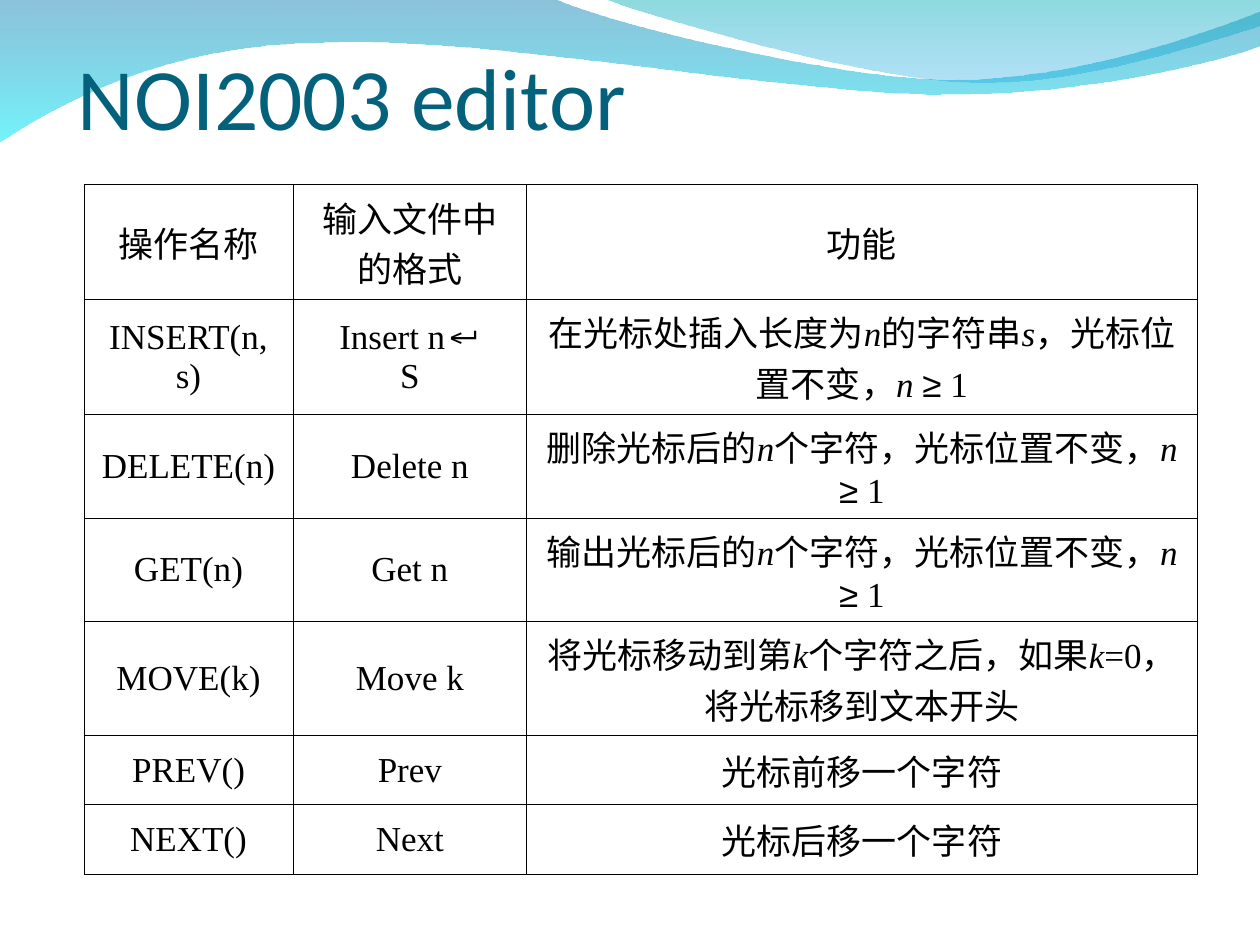
from itertools import groupby

from lxml.etree import SubElement
from pptx import Presentation
from pptx.dml.color import RGBColor
from pptx.enum.text import MSO_ANCHOR as Anchor, PP_ALIGN as Align
from pptx.oxml.ns import qn
from pptx.util import Pt

COLORS = {"title": "04617B", "text": "000000", "border": "000000"}
LATIN, SYMBOL, HEADING = "Times New Roman", "Arial", "Calibri"
SYMBOLS = "≥↵"

# Content: *...* is italic, a line break starts a new paragraph
TITLE = "NOI2003 editor"
ROWS = [
    ("操作名称", "输入文件中的格式", "功能"),
    ("INSERT(n, s)", "Insert n↵\nS",
     "在光标处插入长度为*n*的字符串*s*，光标位置不变，*n *≥ 1"),
    ("DELETE(n)", "Delete n", "删除光标后的*n*个字符，光标位置不变，*n *≥ 1"),
    ("GET(n)", "Get n", "输出光标后的*n*个字符，光标位置不变，*n *≥ 1"),
    ("MOVE(k)", "Move k", "将光标移动到第*k*个字符之后，如果*k*=0，将光标移到文本开头"),
    ("PREV()", "Prev", "光标前移一个字符"),
    ("NEXT()", "Next", "光标后移一个字符"),
]
COL_WIDTHS = [119.5, 133.5, 383.2]
ROW_HEIGHTS = [65.7, 65.7, 59.1, 59.1, 65.3, 39.6, 39.6]

# Waves: one-point items are line ends, three-point items are Bézier curves;
# gradient stops are (colour, opacity in percent)
WAVES = [
    {"path": [[(0, -0.7)], [(316.8, -0.7)],
              [(342.7, 12.2), (478.1, 45.4), (545.8, 45.4)],
              [(614.2, 45.4), (689.8, 18.7), (720, 6.5)],
              [(720.7, 25.9)],
              [(707.8, 31.7), (626.4, 54.7), (537.1, 54)],
              [(447.8, 54), (275, 20.2), (185, 24.5)],
              [(92.9, 25.2), (33.1, 59.8), (-0.7, 81.4)]],
     "stops": [("0079AF", 45), ("00EBF8", 55)]},
    {"path": [[(344.9, -0.7)],
              [(366.5, 7.9), (491, 44.6), (553.7, 46.8)],
              [(616.3, 49.7), (691.9, 23), (720, 15.1)],
              [(720, 0)]],
     "stops": [("00ADB6", 45), ("009BE5", 30)]},
]
UNITS = 100  # path units per point


def add_wave(slide, path, stops):
    points = [(x * UNITS, y * UNITS) for item in path for x, y in item]
    fb = slide.shapes.build_freeform(*points[0], scale=Pt(1) / UNITS)
    fb.add_line_segments(points[1:], close=True)
    sp = fb.convert_to_shape()

    # Join the points of each curve into one Bézier segment
    lines = iter(list(sp._element.iter(qn("a:lnTo"))))
    for item in path[1:]:
        segment = [next(lines) for _ in item]
        if len(segment) == 3:
            first = segment[0]
            first.tag = qn("a:cubicBezTo")
            for ln in segment[1:]:
                first.append(ln[0])
                ln.getparent().remove(ln)

    sp.shadow.inherit = False
    sp.line.fill.background()
    sp.fill.gradient()
    sp.fill.gradient_angle = 270
    for stop, (color, _) in zip(sp.fill.gradient_stops, stops):
        stop.color.rgb = RGBColor.from_string(color)
    for clr, (_, opacity) in zip(sp._element.spPr.iter(qn("a:srgbClr")), stops):
        SubElement(clr, qn("a:alpha"), val=str(opacity * 1000))


def style_run(r, size, font, color, italic=False):
    r.font.size, r.font.name = Pt(size), font
    r.font.bold, r.font.italic = False, italic
    r.font.color.rgb = RGBColor.from_string(color)


def fill_paragraph(p, text):
    p.alignment = Align.CENTER
    for i, part in enumerate(text.split("*")):
        for is_symbol, chars in groupby(part, lambda ch: ch in SYMBOLS):
            r = p.add_run()
            r.text = "".join(chars)
            style_run(r, 20, SYMBOL if is_symbol else LATIN,
                      COLORS["text"], italic=i % 2 == 1)


def add_borders(cell):
    tcPr = cell._tc.get_or_add_tcPr()
    for side in ("lnL", "lnR", "lnT", "lnB"):
        ln = SubElement(tcPr, qn(f"a:{side}"), w=str(Pt(0.45)))
        fill = SubElement(ln, qn("a:solidFill"))
        SubElement(fill, qn("a:srgbClr"), val=COLORS["border"])


prs = Presentation()
prs.slide_width, prs.slide_height = Pt(720), Pt(540)
slide = prs.slides.add_slide(prs.slide_layouts[6])

# Background waves
for wave in WAVES:
    add_wave(slide, **wave)

# Title
tf = slide.shapes.add_textbox(Pt(37.5), Pt(21), Pt(648), Pt(90)).text_frame
tf.word_wrap = True
tf.text = TITLE
style_run(tf.paragraphs[0].runs[0], 50, HEADING, COLORS["title"])

# Table of operations
table = slide.shapes.add_table(
    len(ROWS), len(COL_WIDTHS), Pt(48), Pt(105.5),
    Pt(sum(COL_WIDTHS)), Pt(sum(ROW_HEIGHTS))).table
table.first_row = table.horz_banding = False
for col, width in zip(table.columns, COL_WIDTHS):
    col.width = Pt(width)
for row, height, texts in zip(table.rows, ROW_HEIGHTS, ROWS):
    row.height = Pt(height)
    for cell, text in zip(row.cells, texts):
        cell.vertical_anchor = Anchor.MIDDLE
        add_borders(cell)
        cell.fill.background()
        tf = cell.text_frame
        for i, line in enumerate(text.split("\n")):
            fill_paragraph(tf.add_paragraph() if i else tf.paragraphs[0], line)

prs.save("out.pptx")
